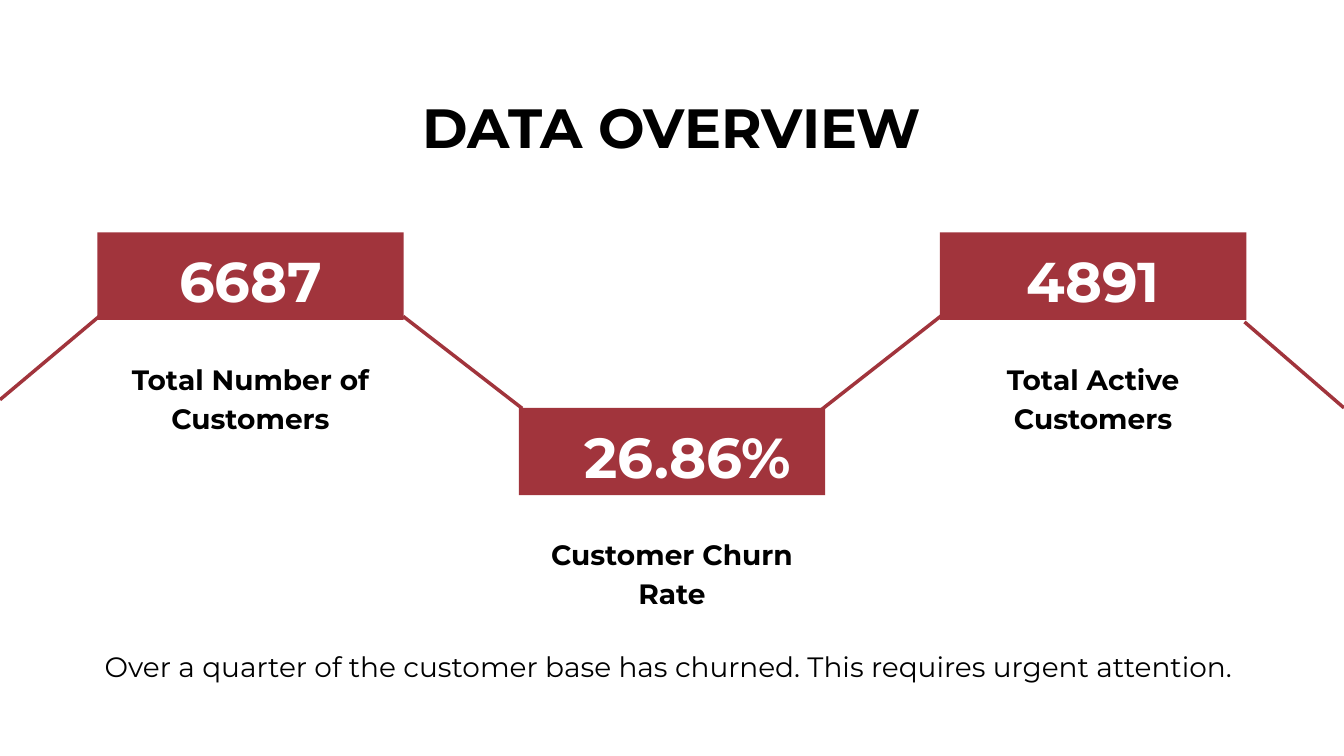
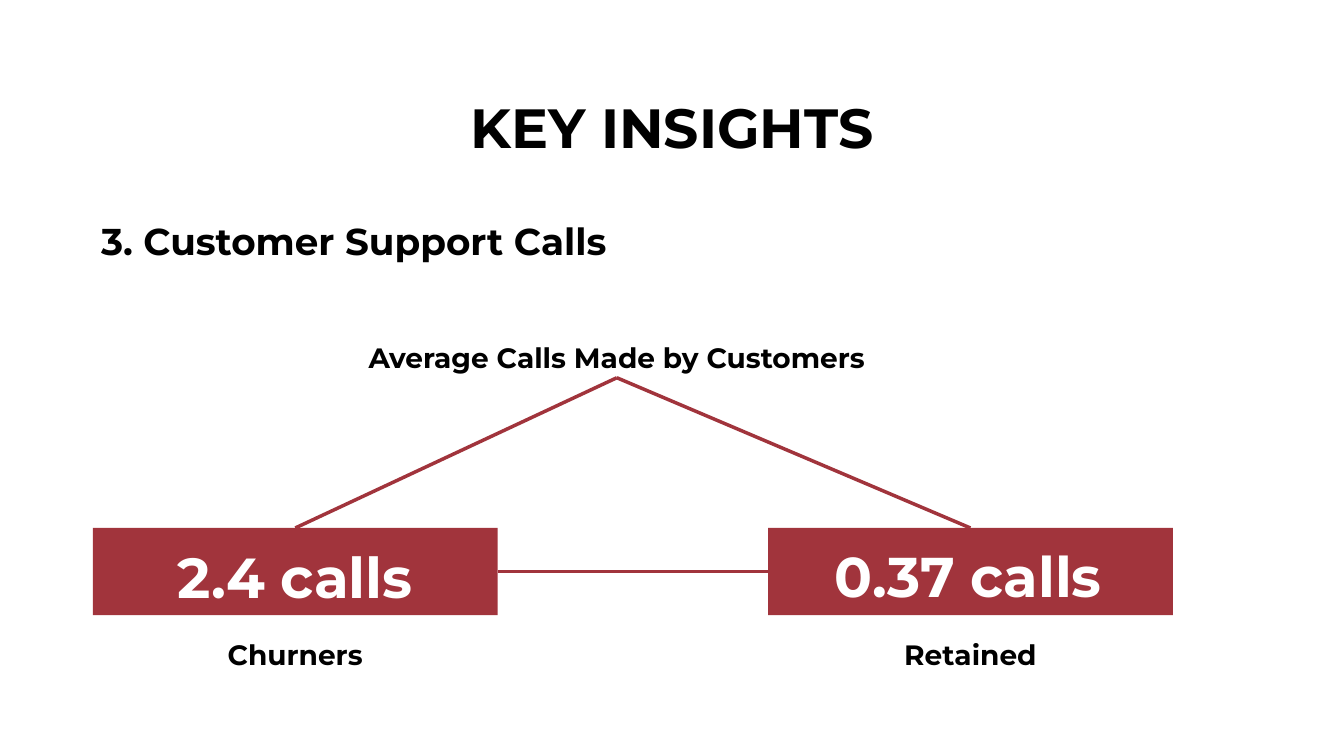
import pptx
import pptx.dml.color
import pptx.enum.shapes
import pptx.enum.text
import pptx.oxml.ns
import pptx.util
import lxml.etree

Cm = pptx.util.Cm
Align = pptx.enum.text.PP_ALIGN

COLORS = {"accent": "A1343C", "text": "000000", "light": "FFFFFF"}
FONT = "Montserrat"
CARD_HEIGHT = 3.3


def color(name):
    return pptx.dml.color.RGBColor.from_string(COLORS[name])


def add_text(slide, text, left, top, width, height, size=30, bold=True,
             fill="text", align=Align.CENTER, spacing=1.4, shape=None):
    """Write text into a new box, or into the given placeholder."""
    if shape is None:
        shape = slide.shapes.add_textbox(0, 0, 0, 0)
    shape.left, shape.top = Cm(left), Cm(top)
    shape.width, shape.height = Cm(width), Cm(height)
    frame = shape.text_frame
    frame.word_wrap = True
    frame.auto_size = pptx.enum.text.MSO_AUTO_SIZE.NONE
    frame.vertical_anchor = pptx.enum.text.MSO_ANCHOR.TOP
    frame.margin_left = frame.margin_right = 0
    frame.margin_top = frame.margin_bottom = 0
    paragraph = frame.paragraphs[0]
    paragraph.text = text
    paragraph.alignment = align
    paragraph.line_spacing = pptx.util.Pt(size * spacing)
    paragraph.font.name = FONT
    paragraph.font.size = pptx.util.Pt(size)
    paragraph.font.bold = bold
    paragraph.font.color.rgb = color(fill)
    return shape


presentation = pptx.Presentation()
presentation.slide_width = Cm(50.8)
presentation.slide_height = Cm(28.58)

# Slides with their shared title style
slides = []
for title in ("DATA OVERVIEW", "KEY INSIGHTS"):
    slide = presentation.slides.add_slide(presentation.slide_layouts[5])
    add_text(slide, title, 9.45, 3.99, 31.9, 2.16, size=59.2, spacing=0.97,
             shape=slide.shapes.title)
    slides.append(slide)
overview, insights = slides

# Cards: slide, left, top, width, figure, figure size, figure box width,
# figure shift, label, label drop, label height, label overhang
cards = [
    (overview, 3.68, 8.79, 11.58, "6687", 60, 7.09, 0,
     "Total Number of Customers", 4.7, 2.82, 0),
    (overview, 19.61, 15.42, 11.58, "26.86%", 60.4, 8.41, 0.6,
     "Customer Churn Rate", 4.7, 2.82, 0),
    (overview, 35.53, 8.79, 11.58, "4891", 60, 7.09, 0,
     "Total Active Customers", 4.7, 2.82, 0),
    (insights, 3.51, 19.96, 15.3, "2.4 calls", 60.4, 14.94, 0,
     "Churners", 3.92, 1.37, 1.83),
    (insights, 29.03, 19.96, 15.3, "0.37 calls", 60, 14.45, -0.08,
     "Retained", 3.92, 1.37, 1.83),
]
boxes = []
for (slide, left, top, width, figure, size, figure_width, shift,
     label, drop, label_height, overhang) in cards:
    box = slide.shapes.add_shape(pptx.enum.shapes.MSO_SHAPE.RECTANGLE, Cm(left),
                                 Cm(top), Cm(width), Cm(CARD_HEIGHT))
    box.shadow.inherit = False
    box.fill.solid()
    box.fill.fore_color.rgb = color("accent")
    box.line.fill.background()
    boxes.append(box)
    figure_left = left + (width - figure_width) / 2 + shift
    add_text(slide, figure, figure_left, top + 0.1, figure_width, 2.8,
             size=size, fill="light")
    add_text(slide, label, left - overhang, top + drop, width + 2 * overhang,
             label_height)
churners_box, retained_box = boxes[3:]

# Remaining text
add_text(overview, "Over a quarter of the customer base has churned. "
         "This requires urgent attention.", 3.96, 24.33, 44, 1.37,
         bold=False, align=Align.LEFT)
add_text(insights, "3. Customer Support Calls", 2.84, 7.95, 21.06, 1.85, size=40)
calls_label = add_text(insights, "Average Calls Made by Customers",
                       13.84, 12.65, 18.95, 1.63)

# Connecting lines: free ends are points, joined ends are (shape, side)
lines = [
    (overview, (0, 15.11), (4.14, 11.63)),
    (overview, (15.24, 11.96), (19.74, 15.44)),
    (overview, (30.94, 15.57), (35.97, 11.63)),
    (overview, (47.04, 12.17), (50.8, 15.42)),
    (insights, (churners_box, 3), (retained_box, 1)),
    (insights, (churners_box, 0), (calls_label, 2)),
    (insights, (calls_label, 2), (retained_box, 0)),
]
for slide, start, end in lines:
    joined = slide is insights
    points = (0, 0, 0, 0) if joined else [Cm(value) for value in start + end]
    connector = slide.shapes.add_connector(
        pptx.enum.shapes.MSO_CONNECTOR.STRAIGHT, *points)
    if joined:
        connector.begin_connect(*start)
        connector.end_connect(*end)
    connector.line.color.rgb = color("accent")
    connector.line.width = pptx.util.Pt(3.75)
    lxml.etree.SubElement(connector._element.spPr,
                          pptx.oxml.ns.qn("a:effectLst"))

presentation.save("out.pptx")
